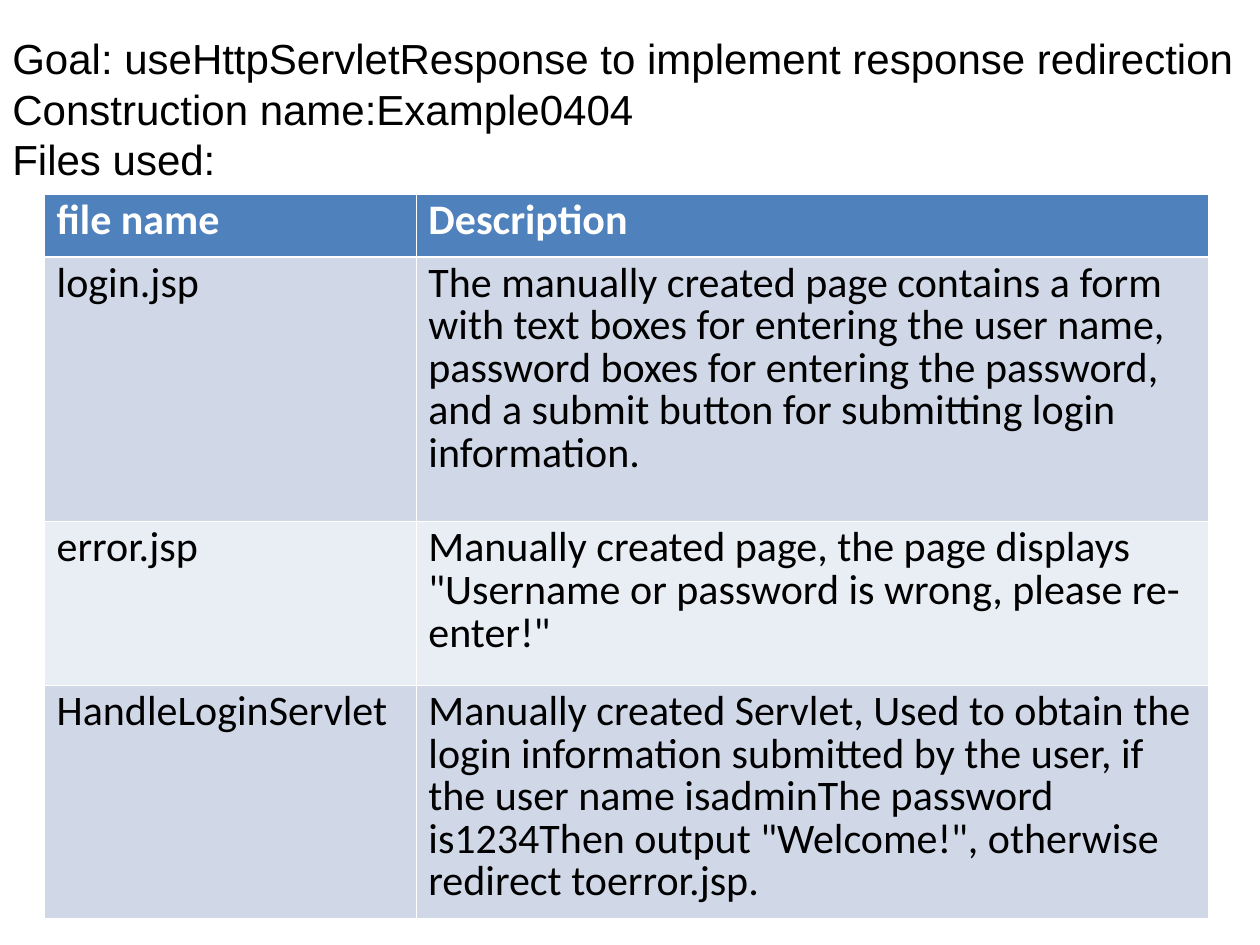
from lxml import etree
from pptx import Presentation
from pptx.dml.color import RGBColor
from pptx.enum.text import MSO_AUTO_SIZE
from pptx.oxml.ns import qn
from pptx.util import Inches, Pt

GROW_SHAPE = MSO_AUTO_SIZE.SHAPE_TO_FIT_TEXT
BLANK_LAYOUT = 6

COLORS = {
    "text": "000000",
    "header_text": "FFFFFF",
    "header": "4F81BD",
    "odd_row": "D0D8E8",
    "even_row": "E9EDF4",
    "border": "FFFFFF",
}

INTRO = [
    "Goal: useHttpServletResponse to implement response redirection",
    "Construction name:Example0404",
    "Files used:",
]

FILES = [
    ("file name", "Description"),
    ("login.jsp",
     "The manually created page contains a form with text boxes for entering "
     "the user name, password boxes for entering the password, and a submit "
     "button for submitting login information."),
    ("error.jsp",
     "Manually created page, the page displays \"Username or password is "
     "wrong, please re-enter!\""),
    ("HandleLoginServlet",
     "Manually created Servlet, Used to obtain the login information submitted "
     "by the user, if the user name isadminThe password is1234Then output "
     "\"Welcome!\", otherwise redirect toerror.jsp."),
]
COLUMN_WIDTHS = [2.95, 6.29]
ROW_HEIGHTS = [0.5, 2.1, 1.3, 1.85]


def write_text(text_frame, lines, font="Arial", size=24, color="text",
               bold=False, line_spacing=None):
    """Fill a text frame with one formatted paragraph per line."""
    text_frame.word_wrap = True
    for index, line in enumerate(lines):
        paragraph = (text_frame.add_paragraph() if index
                     else text_frame.paragraphs[0])
        paragraph.line_spacing = line_spacing
        run = paragraph.add_run()
        run.text = line
        run.font.name = font
        run.font.size = Pt(size)
        run.font.bold = bold
        run.font.color.rgb = RGBColor.from_string(COLORS[color])


def set_borders(cell, widths):
    """Draw the cell's borders; the line elements must precede the fill."""
    properties = cell._tc.get_or_add_tcPr()
    for position, (side, width) in enumerate(widths.items()):
        line = etree.Element(qn(f"a:{side}"), w=str(Pt(width)))
        fill = etree.SubElement(line, qn("a:solidFill"))
        etree.SubElement(fill, qn("a:srgbClr"), val=COLORS["border"])
        properties.insert(position, line)


def add_intro(slide, left, top, width, height):
    box = slide.shapes.add_textbox(left, top, width, height)
    write_text(box.text_frame, INTRO)
    box.text_frame.auto_size = GROW_SHAPE


def add_file_table(slide, left, top, width, height):
    table = slide.shapes.add_table(len(FILES), len(COLUMN_WIDTHS),
                                   left, top, width, height).table
    for column, column_width in zip(table.columns, COLUMN_WIDTHS):
        column.width = Inches(column_width)
    for row, row_height in zip(table.rows, ROW_HEIGHTS):
        row.height = Inches(row_height)

    for row_index, texts in enumerate(FILES):
        is_header = row_index == 0
        band = ("header" if is_header
                else "odd_row" if row_index % 2 else "even_row")
        # The rule under the header is heavier than the other borders
        borders = {"lnL": 0.23, "lnR": 0.23,
                   "lnT": 0.75 if row_index == 1 else 0.23,
                   "lnB": 0.75 if is_header else 0.23}
        for column_index, text in enumerate(texts):
            cell = table.cell(row_index, column_index)
            cell.fill.solid()
            cell.fill.fore_color.rgb = RGBColor.from_string(COLORS[band])
            set_borders(cell, borders)
            write_text(cell.text_frame, [text], font="Calibri", bold=is_header,
                       color="header_text" if is_header else "text",
                       line_spacing=0.83)


def main():
    presentation = Presentation()
    presentation.slide_width = Inches(10)
    presentation.slide_height = Inches(7.5)
    slide = presentation.slides.add_slide(
        presentation.slide_layouts[BLANK_LAYOUT])

    # Goal and project name
    add_intro(slide, Inches(0), Inches(0.21), Inches(10), Inches(1.3))
    # Files and their descriptions
    add_file_table(slide, Inches(0.35), Inches(1.54),
                   Inches(sum(COLUMN_WIDTHS)), Inches(sum(ROW_HEIGHTS)))

    presentation.save("out.pptx")


if __name__ == "__main__":
    main()
